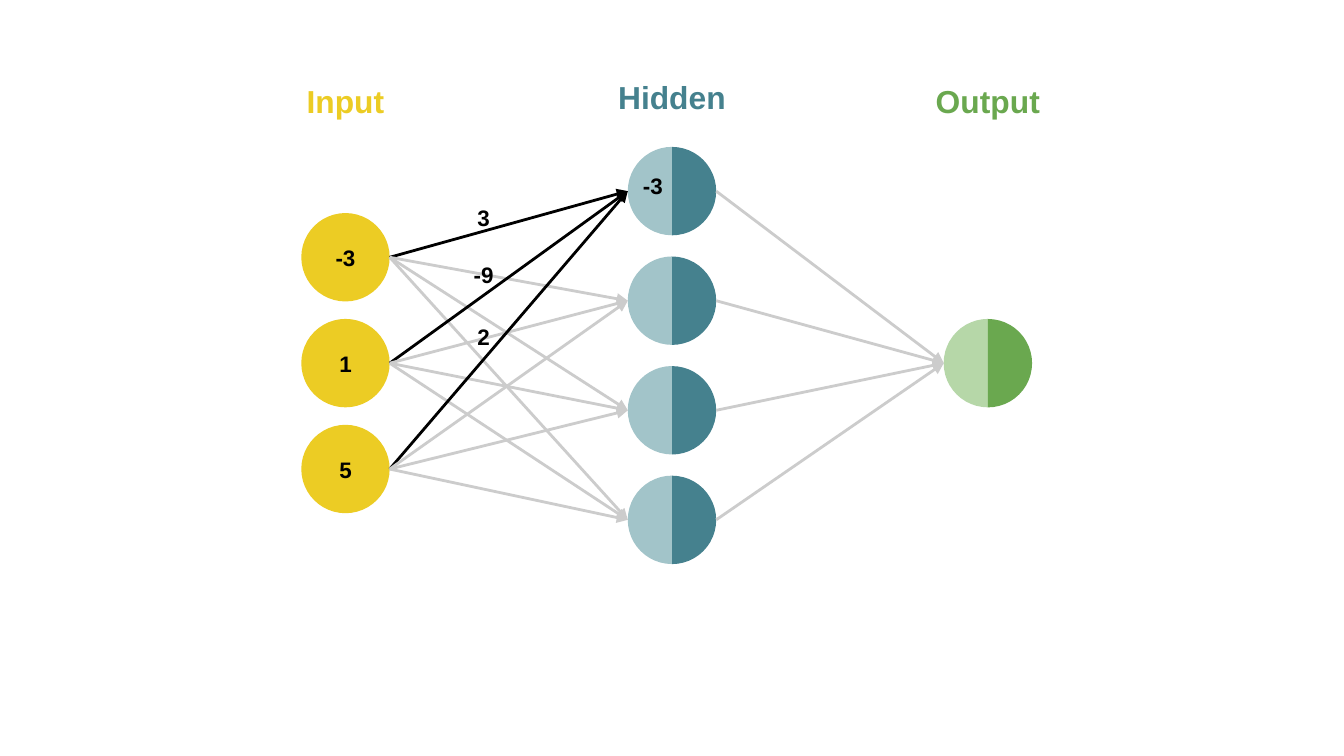
"""Draw a small neural network with its inputs, weights and one hidden value."""
from dataclasses import dataclass

from lxml.etree import SubElement
from pptx import Presentation
from pptx.dml.color import RGBColor as Rgb
from pptx.enum.shapes import MSO_CONNECTOR as Link, MSO_SHAPE as Kind
from pptx.enum.text import MSO_ANCHOR as Anchor, PP_ALIGN as Align
from pptx.oxml.ns import qn
from pptx.util import Cm, Pt


@dataclass(frozen=True)
class Theme:
    gold: str = "ECCC24"
    teal: str = "45818E"
    mist: str = "A2C4C9"
    green: str = "6AA84F"
    mint: str = "B6D7A8"
    black: str = "000000"
    gray: str = "CCCCCC"
    font: str = "Arial"
    head: float = 17
    body: float = 12
    line: float = 1.5


LOOK = Theme()
SIZE = 1.67
RAD = SIZE / 2
IN_X, HID_X, OUT_X = 6.53, 12.7, 18.67
MID = 6.86
IN_YS = [MID + 2 * (i - 1) for i in range(3)]
HID_YS = [3.61 + 2.07 * i for i in range(4)]


def add_disc(slide, kind, x, y, color):
    """Add a plain filled shape centred on x, y."""
    disc = slide.shapes.add_shape(kind, Cm(x - RAD), Cm(y - RAD), Cm(SIZE), Cm(SIZE))
    disc.shadow.inherit = False
    disc.fill.solid()
    disc.fill.fore_color.rgb = Rgb.from_string(color)
    disc.line.fill.background()
    return disc


def add_split(slide, x, y, left, right):
    """Add a node made of two half discs."""
    for color, turn in ((left, 0), (right, 180)):
        half = add_disc(slide, Kind.PIE, x, y, color)
        half.adjustments[0] = 54
        half.adjustments[1] = 162
        half.rotation = turn


def add_arrow(slide, start, end, color):
    """Add a straight arrow from the right of one node to the left of another."""
    (x1, y1), (x2, y2) = start, end
    arrow = slide.shapes.add_connector(
        Link.STRAIGHT, Cm(x1 + RAD), Cm(y1), Cm(x2 - RAD), Cm(y2))
    arrow.line.color.rgb = Rgb.from_string(color)
    arrow.line.width = Pt(LOOK.line)
    SubElement(arrow.line._get_or_add_ln(), qn("a:tailEnd"), type="triangle")
    SubElement(arrow._element.spPr, qn("a:effectLst"))


def add_text(slide, text, x, top, wide, high, size, color, pad):
    """Add one bold centred line of text."""
    box = slide.shapes.add_textbox(Cm(x - wide / 2), Cm(top), Cm(wide), Cm(high))
    frame = box.text_frame
    frame.word_wrap = True
    frame.vertical_anchor = Anchor.TOP
    frame.margin_left = frame.margin_right = Cm(0.25)
    frame.margin_top = frame.margin_bottom = Cm(pad)
    para = frame.paragraphs[0]
    para.alignment = Align.CENTER
    run = para.add_run()
    run.text = text
    run.font.name = LOOK.font
    run.font.size = Pt(size)
    run.font.bold = True
    run.font.color.rgb = Rgb.from_string(color)


def add_head(slide, text, x, top, color):
    """Add the title of a layer."""
    add_text(slide, text, x, top, 2.77, 1, LOOK.head, color, 0.25)


def add_value(slide, text, x, top):
    """Add a number of a node or a weight."""
    add_text(slide, text, x, top, 0.97, 0.76, LOOK.body, LOOK.black, 0.13)


def main():
    """Build and save the slide."""
    deck = Presentation()
    deck.slide_width, deck.slide_height = Cm(25.4), Cm(14.28)
    slide = deck.slides.add_slide(deck.slide_layouts[6])

    for y in IN_YS:
        add_disc(slide, Kind.OVAL, IN_X, y, LOOK.gold)
    for y in HID_YS:
        add_split(slide, HID_X, y, LOOK.mist, LOOK.teal)
    add_split(slide, OUT_X, MID, LOOK.mint, LOOK.green)

    for y in IN_YS:
        for goal in HID_YS:
            color = LOOK.black if goal == HID_YS[0] else LOOK.gray
            add_arrow(slide, (IN_X, y), (HID_X, goal), color)
    for y in HID_YS:
        add_arrow(slide, (HID_X, y), (OUT_X, MID), LOOK.gray)

    add_head(slide, "Input", IN_X, 1.3, LOOK.gold)
    add_head(slide, "Hidden", HID_X, 1.22, LOOK.teal)
    add_head(slide, "Output", OUT_X, 1.3, LOOK.green)
    for text, top in (("3", 3.73), ("-9", 4.8), ("2", 5.97)):
        add_value(slide, text, 9.14, top)
    for text, y in zip(("-3", "1", "5"), IN_YS):
        add_value(slide, text, IN_X, y - 0.37)
    add_value(slide, "-3", HID_X - 0.36, HID_YS[0] - 0.49)

    deck.save("out.pptx")


if __name__ == "__main__":
    main()
